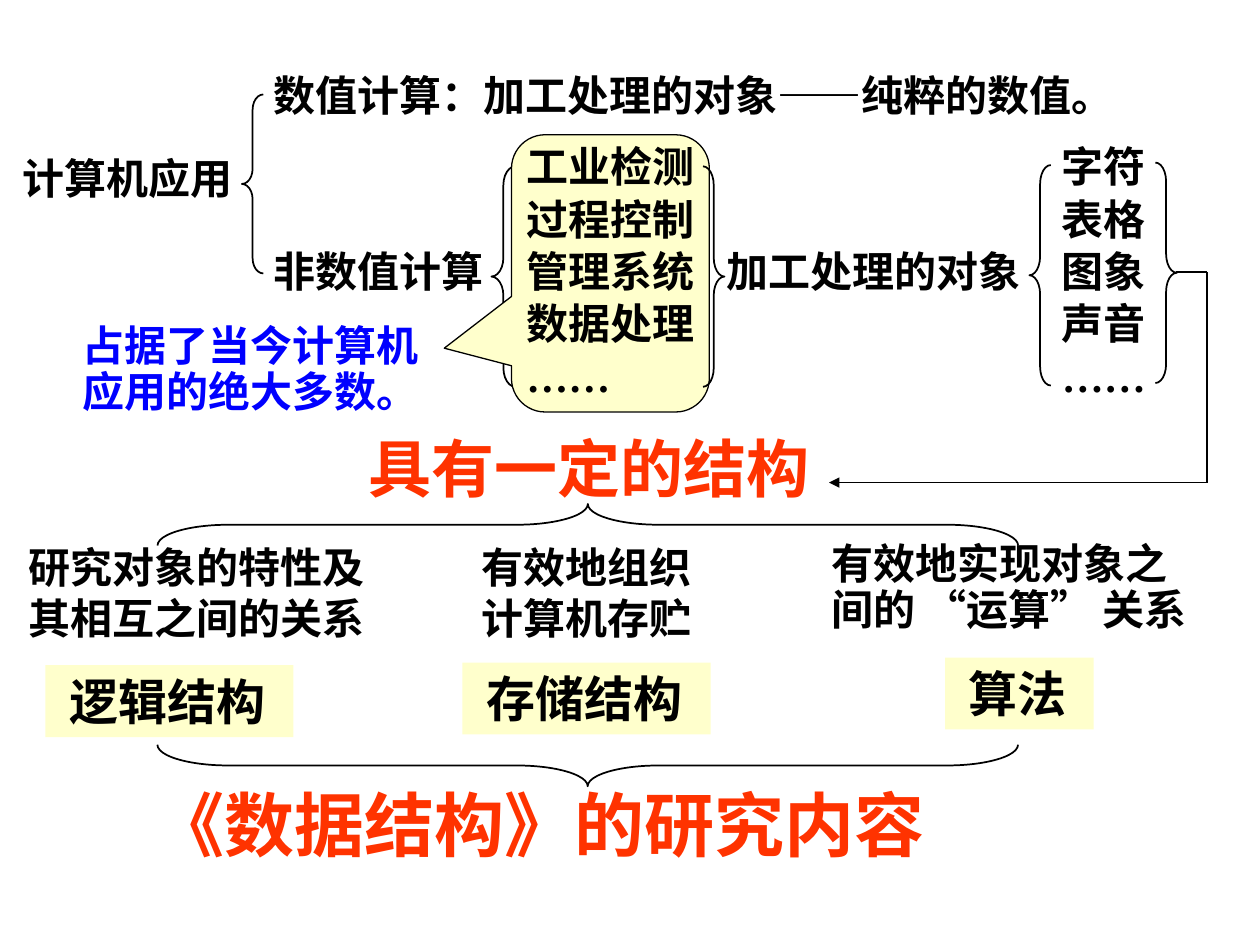
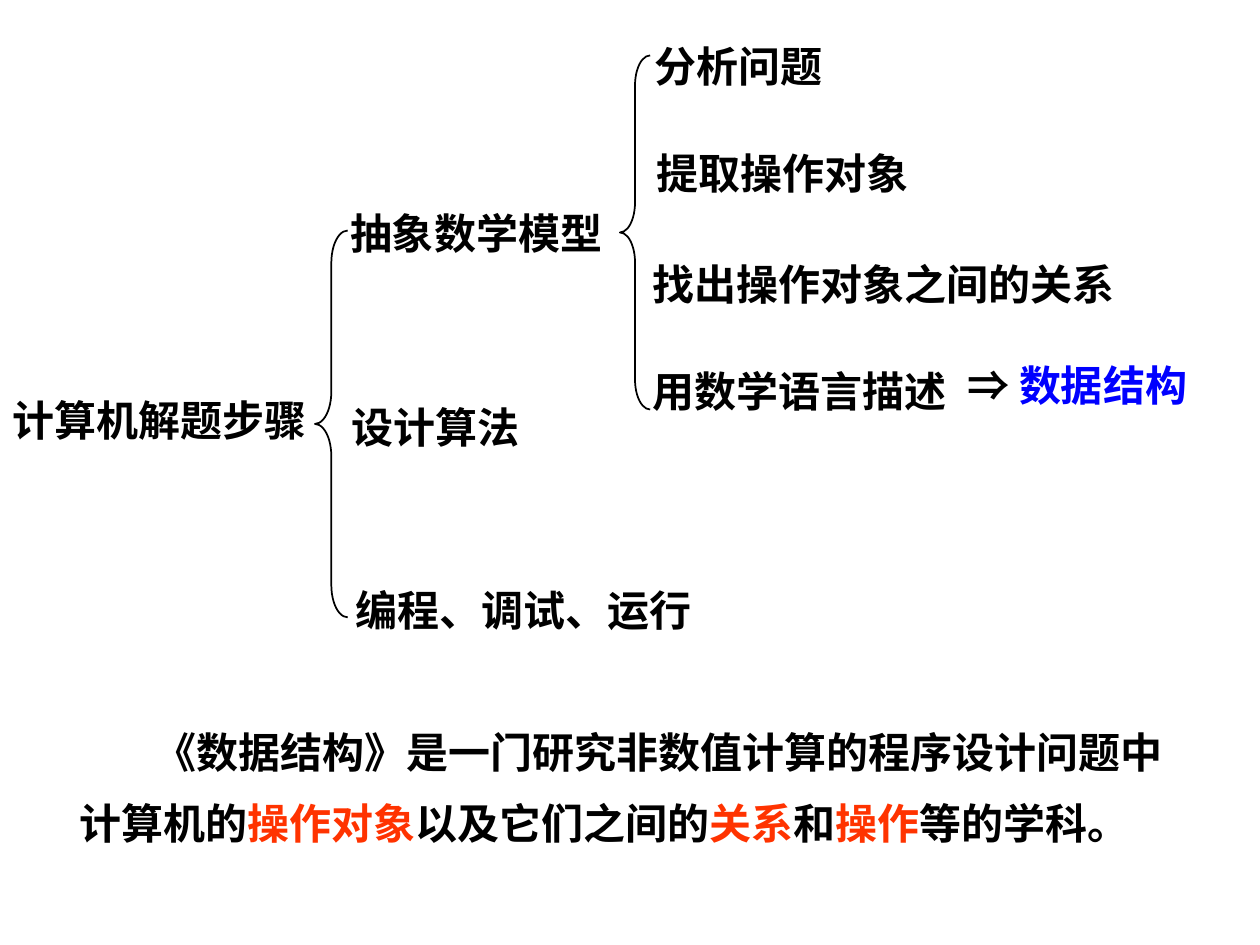
"""Build two slides on what data structures study and how a computer solves problems."""
import pptx
import pptx.dml.color
import pptx.enum.lang
import pptx.enum.shapes
import pptx.oxml.ns
import pptx.util
from lxml import etree

PX = 9144
COLORS = {"black": "000000", "blue": "0000FF", "red": "FF3300", "cream": "FFFFCC"}
TIMES = "Times New Roman"
NOTO = "Noto Sans CJK SC"
ROBOTO = "Roboto"
SHAPES = pptx.enum.shapes.MSO_SHAPE
qn = pptx.oxml.ns.qn


def add_text(slide, box, lines, size=24, font=TIMES, color="black", fill=None, inset=10):
    """Add bold text; each line is a string or a list of (text, color) runs."""
    shape = slide.shapes.add_textbox(*[value * PX for value in box])
    if fill:
        shape.fill.solid()
        shape.fill.fore_color.rgb = pptx.dml.color.RGBColor.from_string(COLORS[fill])
    frame = shape.text_frame
    frame.word_wrap = True
    frame.margin_left = inset * PX
    for index, line in enumerate(lines):
        paragraph = frame.paragraphs[0] if index == 0 else frame.add_paragraph()
        for text, run_color in [(line, color)] if isinstance(line, str) else line:
            run = paragraph.add_run()
            run.text = text
            run.font.size = pptx.util.Pt(size)
            run.font.bold = True
            run.font.name = font
            run.font.language_id = pptx.enum.lang.MSO_LANGUAGE_ID.SIMPLIFIED_CHINESE
            run.font.color.rgb = pptx.dml.color.RGBColor.from_string(COLORS[run_color])
            east_asian = etree.SubElement(run.font._element, qn("a:ea"))
            east_asian.set("typeface", NOTO)
    return frame.paragraphs


def add_outline(slide, kind, box, adjustments, rotation=0, width=1, fill=None):
    """Add a black-outlined preset shape."""
    shape = slide.shapes.add_shape(kind, *[value * PX for value in box])
    shape.shadow.inherit = False
    shape.rotation = rotation
    for index, value in enumerate(adjustments):
        shape.adjustments[index] = value
    if fill:
        shape.fill.solid()
        shape.fill.fore_color.rgb = pptx.dml.color.RGBColor.from_string(COLORS[fill])
    else:
        shape.fill.background()
    shape.line.color.rgb = pptx.dml.color.RGBColor.from_string(COLORS["black"])
    shape.line.width = pptx.util.Pt(width)


presentation = pptx.Presentation()
presentation.slide_width = 1000 * PX
presentation.slide_height = 750 * PX
blank = presentation.slide_layouts[6]

slide = presentation.slides.add_slide(blank)
for kind, box, curve, rotation in [
    (SHAPES.LEFT_BRACE, (192, 75, 17, 142), 0.71, 0),
    (SHAPES.LEFT_BRACE, (390, 132, 19, 175), 0.79, 0),
    (SHAPES.RIGHT_BRACE, (558, 132, 17, 175), 0.88, 0),
    (SHAPES.LEFT_BRACE, (817, 131, 17, 175), 0.88, 0),
    (SHAPES.RIGHT_BRACE, (917, 129, 17, 175), 0.88, 0),
    (SHAPES.LEFT_BRACE, (450, 75, 33, 683), 1.71, 90),
    (SHAPES.LEFT_BRACE, (450, 266, 33, 683), 1.71, 270),
]:
    add_outline(slide, kind, box, [curve, 0.5], rotation)
    if box[0] == 390:
        add_outline(slide, SHAPES.ROUNDED_RECTANGULAR_CALLOUT, (406, 107, 157, 220),
                    [-0.84, 0.27, 0.17], width=0.75, fill="cream")

for box, text in [
    ((8, 116, 233, 50), "计算机应用"),
    ((207, 50, 702, 50), "数值计算：加工处理的对象——纯粹的数值。"),
    ((207, 190, 201, 50), "非数值计算"),
    ((567, 190, 275, 50), "加工处理的对象"),
]:
    add_text(slide, box, [text])

for left, width, items in [
    (408, 162, ["工业检测", "过程控制", "管理系统", "数据处理", "……"]),
    (833, 95, ["字符", "表格", "图象", "声音", "……"]),
]:
    for row, item in enumerate(items):
        add_text(slide, (left, 107 + round(row * 41.5), width, 50), [item])

for box, lines, color in [
    ((56, 253, 303, 82), ["占据了当今计算机", "应用的绝大多数。"], "blue"),
    ((650, 426, 331, 83), ["有效地实现对象之", "间的 “运算” 关系"], "black"),
]:
    first, second = add_text(slide, box, lines, color=color)
    first.line_spacing = 0.9
    second.line_spacing = 0.4
    second.space_before = pptx.util.Pt(12)

add_text(slide, (13, 425, 295, 90), ["研究对象的特性及", "其相互之间的关系"])
add_text(slide, (372, 425, 195, 90), ["有效地组织", "计算机存贮"])

for box, label in [
    ((36, 528, 197, 57), "逻辑结构"),
    ((367, 526, 197, 57), "存储结构"),
    ((750, 522, 118, 57), "算法"),
]:
    add_text(slide, box, [label], size=28, fill="cream", inset=19)

add_text(slide, (283, 336, 397, 70), ["具有一定的结构"], 36, NOTO, "red")
add_text(slide, (100, 615, 694, 77), ["《数据结构》的研究内容"], 40, NOTO, "red", inset=23)

route = [(933, 216), (958, 216), (958, 383), (658, 383)]
for start, end in zip(route, route[1:]):
    connector = slide.shapes.add_connector(
        pptx.enum.shapes.MSO_CONNECTOR.STRAIGHT, *[value * PX for value in start + end])
    connector.line.color.rgb = pptx.dml.color.RGBColor.from_string(COLORS["black"])
    connector.line.width = pptx.util.Pt(1)
    etree.SubElement(connector._element.spPr, qn("a:effectLst"))
arrowhead = etree.SubElement(connector.line._get_or_add_ln(), qn("a:tailEnd"))
arrowhead.set("type", "triangle")

slide = presentation.slides.add_slide(blank)
add_outline(slide, SHAPES.LEFT_BRACE, (250, 183, 26, 307), [0.99, 0.5])
add_outline(slide, SHAPES.LEFT_BRACE, (492, 44, 24, 281), [0.99, 0.5])

for box, text, font in [
    ((0, 308, 283, 50), "计算机解题步骤", TIMES),
    ((268, 160, 230, 50), "抽象数学模型", ROBOTO),
    ((269, 314, 164, 50), "设计算法", NOTO),
    ((272, 459, 297, 50), "编程、调试、运行", ROBOTO),
    ((510, 27, 164, 50), "分析问题", NOTO),
    ((511, 112, 231, 50), "提取操作对象", NOTO),
    ((508, 285, 264, 50), "用数学语言描述", NOTO),
]:
    add_text(slide, box, [text], font=font)

relation = add_text(slide, (508, 196, 397, 54), ["找出操作对象之间的关系"], font=NOTO)
relation[0].line_spacing = 1.1
result = add_text(slide, (758, 285, 208, 46),
                  [[("⇒ ", "black"), ("数据结构", "blue")]], font=NOTO)
result[0].line_spacing = 0.9

definition = add_text(slide, (53, 556, 904, 117), [
    "《数据结构》是一门研究非数值计算的程序设计问题中",
    [("计算机的", "black"), ("操作对象", "red"), ("以及它们之间的", "black"),
     ("关系", "red"), ("和", "black"), ("操作", "red"), ("等的学科。", "black")],
])
for paragraph in definition:
    paragraph.line_spacing = 1.4
definition[0]._element.get_or_add_pPr().set("indent", str(60 * PX))

presentation.save("out.pptx")
